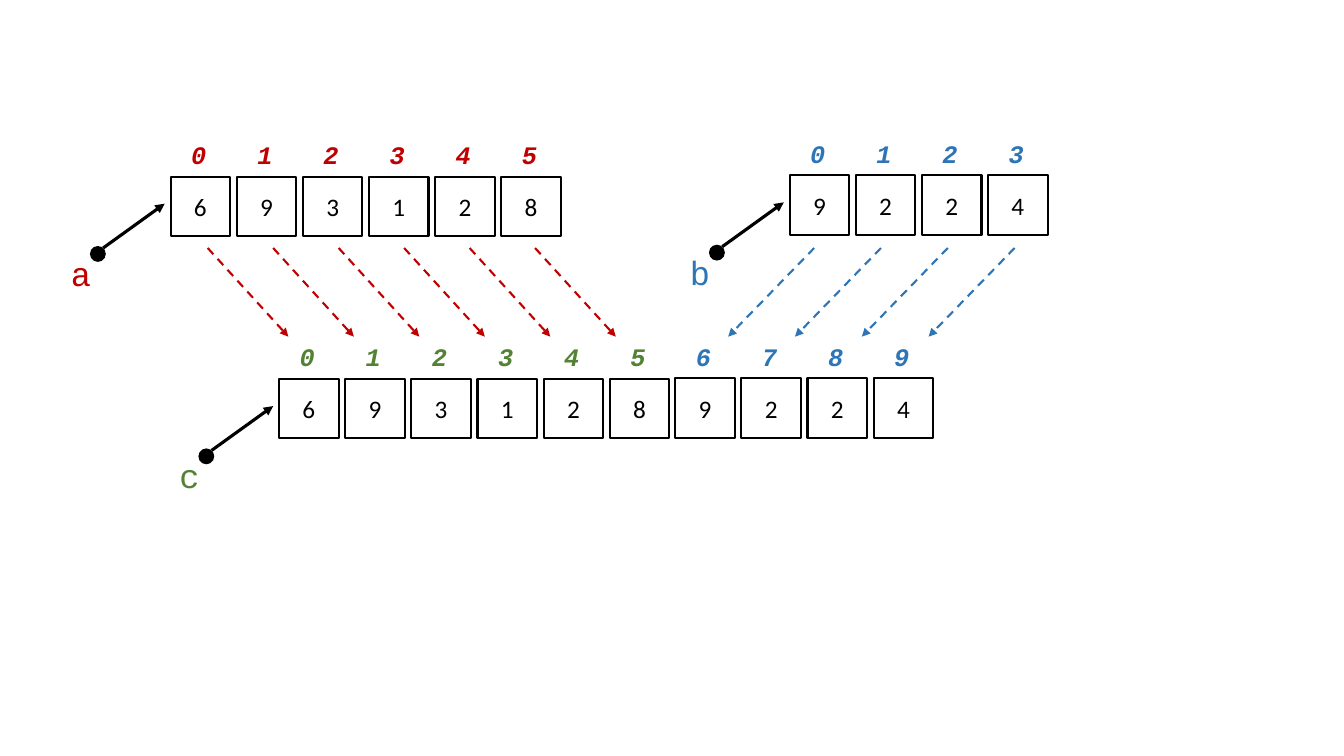
from dataclasses import dataclass
from typing import Optional

from lxml import etree
from pptx import Presentation
from pptx.dml.color import RGBColor
from pptx.enum.dml import MSO_LINE
from pptx.enum.shapes import MSO_CONNECTOR, MSO_SHAPE
from pptx.enum.text import MSO_ANCHOR, MSO_AUTO_SIZE, PP_ALIGN
from pptx.oxml.ns import qn
from pptx.util import Emu, Inches, Pt

RECT, OVAL = MSO_SHAPE.RECTANGLE, MSO_SHAPE.OVAL
STRAIGHT, DASH = MSO_CONNECTOR.STRAIGHT, MSO_LINE.DASH
MIDDLE, CENTER = MSO_ANCHOR.MIDDLE, PP_ALIGN.CENTER
FIT_SHAPE = MSO_AUTO_SIZE.SHAPE_TO_FIT_TEXT
BLANK = 6

COLORS = {"black": "000000", "red": "C00000", "blue": "2E75B6", "green": "548235"}
VALUE = {"name": "Calibri", "size": Pt(18)}
INDEX = {"name": "Courier New", "size": Pt(18), "bold": True, "italic": True}
NAME = {"name": "Courier New", "size": Pt(24)}

SLIDE_W, SLIDE_H = Inches(13.333), Inches(7.5)
UNIT = SLIDE_W / 20.32
CELL = 0.9


@dataclass
class Array:
    col: float
    row: float
    values: str
    color: str
    name: Optional[str] = None
    first: int = 0


@dataclass
class CopyArrows:
    col: float
    count: int
    pitch: float
    run: float
    color: str


ARRAYS = [
    Array(2.58, 2.67, "693128", "red", "a"),
    Array(11.94, 2.65, "9224", "blue", "b"),
    Array(4.22, 5.73, "693128", "green", "c"),
    Array(10.21, 5.72, "9224", "blue", first=6),
]
COPY_ARROWS = [
    CopyArrows(3.14, 6, 0.99, 1.22, "red"),
    CopyArrows(12.31, 4, 1.01, -1.3, "blue"),
]
COPY_TOP, COPY_DROP = 3.75, 1.34


def grid(*units: float) -> list[Emu]:
    return [Emu(round(u * UNIT)) for u in units]


def rgb(color: str) -> RGBColor:
    return RGBColor.from_string(COLORS[color])


def write(tf, text: str, style: dict, color: str) -> None:
    r = tf.paragraphs[0].add_run()
    r.text = text
    for key, value in style.items():
        setattr(r.font, key, value)
    r.font.color.rgb = rgb(color)


def add_label(s, col: float, row: float, w: float, h: float,
              text: str, style: dict, color: str) -> None:
    tf = s.shapes.add_textbox(*grid(col, row, w, h)).text_frame
    tf.word_wrap = False
    tf.auto_size = FIT_SHAPE
    write(tf, text, style, color)


def add_cell(s, col: float, row: float, value: str) -> None:
    sp = s.shapes.add_shape(RECT, *grid(col, row, CELL, CELL))
    sp.shadow.inherit = False
    sp.fill.background()
    sp.line.color.rgb = rgb("black")
    sp.line.width = Pt(1.5)
    tf = sp.text_frame
    tf.vertical_anchor = MIDDLE
    tf.paragraphs[0].alignment = CENTER
    write(tf, value, VALUE, "black")


def add_arrow(s, x1: float, y1: float, x2: float, y2: float,
              color: str, width: float, dashed: bool = False) -> None:
    cx = s.shapes.add_connector(STRAIGHT, *grid(x1, y1, x2, y2))
    cx.line.color.rgb = rgb(color)
    cx.line.width = Pt(width)
    if dashed:
        cx.line.dash_style = DASH
    etree.SubElement(cx.line._get_or_add_ln(), qn("a:tailEnd"), type="triangle")
    etree.SubElement(cx._element.spPr, qn("a:effectLst"))


def add_pointer(s, col: float, row: float, name: str, color: str) -> None:
    dot = s.shapes.add_shape(OVAL, *grid(col - 1.22, row + 1.05, 0.24, 0.24))
    dot.shadow.inherit = False
    dot.fill.solid()
    dot.fill.fore_color.rgb = rgb("black")
    dot.line.fill.background()
    add_arrow(s, col - 1.02, row + 1.08, col - 0.09, row + 0.41, "black", 2.25)
    add_label(s, col - 1.66, row + 1.08, 0.59, 0.76, name, NAME, color)


def add_array(s, array: Array) -> None:
    for i, value in enumerate(array.values):
        col = array.col + i
        add_cell(s, col, array.row, value)
        add_label(s, col + 0.16, array.row - 0.64, 0.53, 0.61,
                  str(array.first + i), INDEX, array.color)
    if array.name:
        add_pointer(s, array.col, array.row, array.name, array.color)


def add_copy_arrows(s, arrows: CopyArrows) -> None:
    for i in range(arrows.count):
        col = arrows.col + i * arrows.pitch
        add_arrow(s, col, COPY_TOP, col + arrows.run, COPY_TOP + COPY_DROP,
                  arrows.color, 1.5, dashed=True)


def main() -> None:
    prs = Presentation()
    prs.slide_width, prs.slide_height = SLIDE_W, SLIDE_H
    s = prs.slides.add_slide(prs.slide_layouts[BLANK])
    for array in ARRAYS:
        add_array(s, array)
    for arrows in COPY_ARROWS:
        add_copy_arrows(s, arrows)
    prs.save("out.pptx")


if __name__ == "__main__":
    main()
